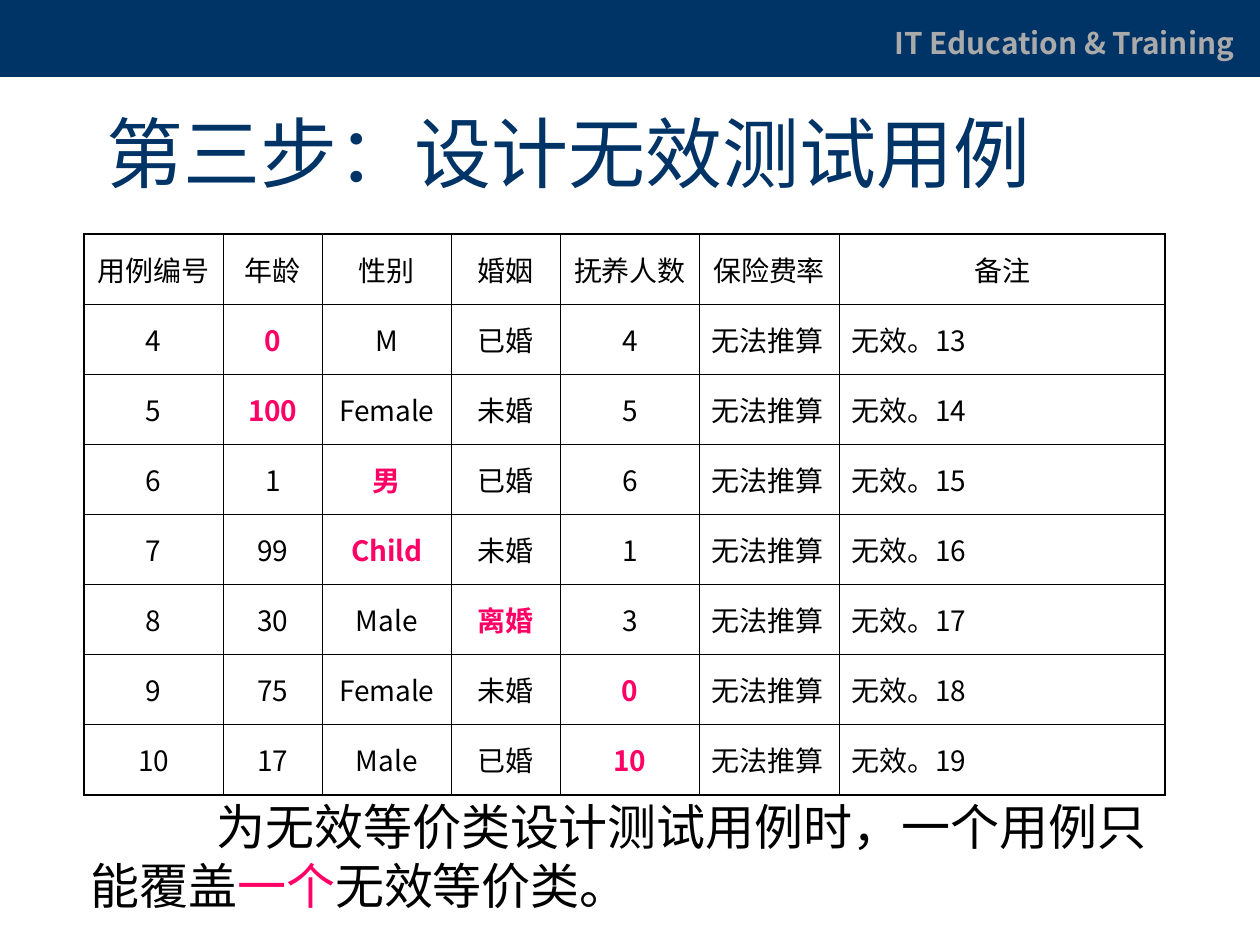
from lxml.etree import SubElement
from pptx import Presentation
from pptx.dml.color import RGBColor
from pptx.enum.shapes import MSO_SHAPE
from pptx.enum.text import MSO_ANCHOR, PP_ALIGN
from pptx.oxml.ns import qn
from pptx.util import Inches, Pt

WIDTH, HEIGHT = Inches(10), Inches(7.5)
FONT = "Noto Sans CJK SC"
COLOURS = {
    "navy": "003366",
    "grey": "AAAAAA",
    "black": "000000",
    "pink": "FF0066",
}
THIN, THICK = Pt(0.45), Pt(1.25)

HEADINGS = ["用例编号", "年龄", "性别", "婚姻", "抚养人数", "保险费率", "备注"]
COLUMN_WIDTHS = [1.1, 0.79, 1.02, 0.87, 1.1, 1.11, 2.59]
TABLE_HEIGHT = 4.45
FIRST_CASE, FIRST_CLASS = 4, 13
RATE_COLUMN = HEADINGS.index("保险费率")
# Age, sex, marriage, dependants, and the column holding the invalid value
CASES = [
    ("0", "M", "已婚", "4", "年龄"),
    ("100", "Female", "未婚", "5", "年龄"),
    ("1", "男", "已婚", "6", "性别"),
    ("99", "Child", "未婚", "1", "性别"),
    ("30", "Male", "离婚", "3", "婚姻"),
    ("75", "Female", "未婚", "0", "抚养人数"),
    ("17", "Male", "已婚", "10", "抚养人数"),
]


def colour(name):
    return RGBColor.from_string(COLOURS[name])


def style_paragraph(para, size, ink, bold=False):
    para.font.name = FONT
    para.font.size = Pt(size)
    para.font.bold = bold
    para.font.color.rgb = colour(ink)
    defaults = para._p.pPr.find(qn("a:defRPr"))
    SubElement(defaults, qn("a:ea"), typeface=FONT)


def add_banner(page, height):
    banner = page.shapes.add_shape(MSO_SHAPE.RECTANGLE, 0, 0, WIDTH, height)
    banner.shadow.inherit = False
    banner.fill.solid()
    banner.fill.fore_color.rgb = colour("navy")
    banner.line.fill.background()


def add_text(page, area, spans, size, ink, bold=False,
             anchor=MSO_ANCHOR.TOP, indent=0):
    """Area is left, top, width, height as shares of the slide;
    spans are (text, colour or None) pairs."""
    left, top, width, height = area
    box = page.shapes.add_textbox(int(left * WIDTH), int(top * HEIGHT),
                                  int(width * WIDTH), int(height * HEIGHT))
    frame = box.text_frame
    frame.word_wrap = True
    frame.vertical_anchor = anchor
    para = frame.paragraphs[0]
    if indent:
        para._p.get_or_add_pPr().set("indent", str(Inches(indent)))
    style_paragraph(para, size, ink, bold)
    for text, span_ink in spans:
        span = para.add_run()
        span.text = text
        if span_ink:
            span.font.color.rgb = colour(span_ink)


def set_borders(cell, outer_sides):
    properties = cell._tc.get_or_add_tcPr()
    for position, side in enumerate("LRTB"):
        width = THICK if side in outer_sides else THIN
        line = properties.makeelement(qn(f"a:ln{side}"), {"w": str(width)})
        fill = SubElement(line, qn("a:solidFill"))
        SubElement(fill, qn("a:srgbClr"), val=COLOURS["black"])
        properties.insert(position, line)


def fill_cell(cell, text, align, invalid):
    cell.fill.background()
    cell.vertical_anchor = MSO_ANCHOR.MIDDLE
    cell.text = text
    para = cell.text_frame.paragraphs[0]
    para.alignment = align
    style_paragraph(para, 16, "pink" if invalid else "black", invalid)


def add_case_table(page, left, top):
    rows = [(HEADINGS, None)]
    for offset, (*values, invalid) in enumerate(CASES):
        texts = [str(FIRST_CASE + offset), *values,
                 "无法推算", f"无效。{FIRST_CLASS + offset}"]
        rows.append((texts, invalid))
    table = page.shapes.add_table(
        len(rows), len(HEADINGS), int(left * WIDTH), int(top * HEIGHT),
        Inches(sum(COLUMN_WIDTHS)), Inches(TABLE_HEIGHT)).table
    table.first_row = table.horz_banding = False
    for column, width in zip(table.columns, COLUMN_WIDTHS):
        column.width = Inches(width)

    last_row, last_column = len(rows) - 1, len(HEADINGS) - 1
    for r, (texts, invalid) in enumerate(rows):
        for c, text in enumerate(texts):
            cell = table.cell(r, c)
            centred = r == 0 or c < RATE_COLUMN
            align = PP_ALIGN.CENTER if centred else PP_ALIGN.LEFT
            fill_cell(cell, text, align, HEADINGS[c] == invalid)
            edges = {"L": c == 0, "R": c == last_column,
                     "T": r == 0, "B": r == last_row}
            set_borders(cell, [side for side, outer in edges.items() if outer])


def main():
    deck = Presentation()
    deck.slide_width, deck.slide_height = WIDTH, HEIGHT
    page = deck.slides.add_slide(deck.slide_layouts[6])

    # Banner and title
    add_banner(page, Inches(0.61))
    add_text(page, (0.7, 0.02, 0.293, 0.088),
             [("IT Education & Training", None)], 17, "grey", bold=True)
    add_text(page, (0.075, 0.09, 0.85, 0.14),
             [("第三步：设计无效测试用例", None)], 44, "navy",
             anchor=MSO_ANCHOR.MIDDLE)

    # Invalid test cases
    add_case_table(page, 0.067, 0.248)

    # Rule for invalid classes
    add_text(page, (0.062, 0.836, 0.876, 0.139),
             [("为无效等价类设计测试用例时，一个用例只能覆盖", None),
              ("一个", "pink"), ("无效等价类。", None)],
             28, "black", indent=1)

    deck.save("out.pptx")


if __name__ == "__main__":
    main()
